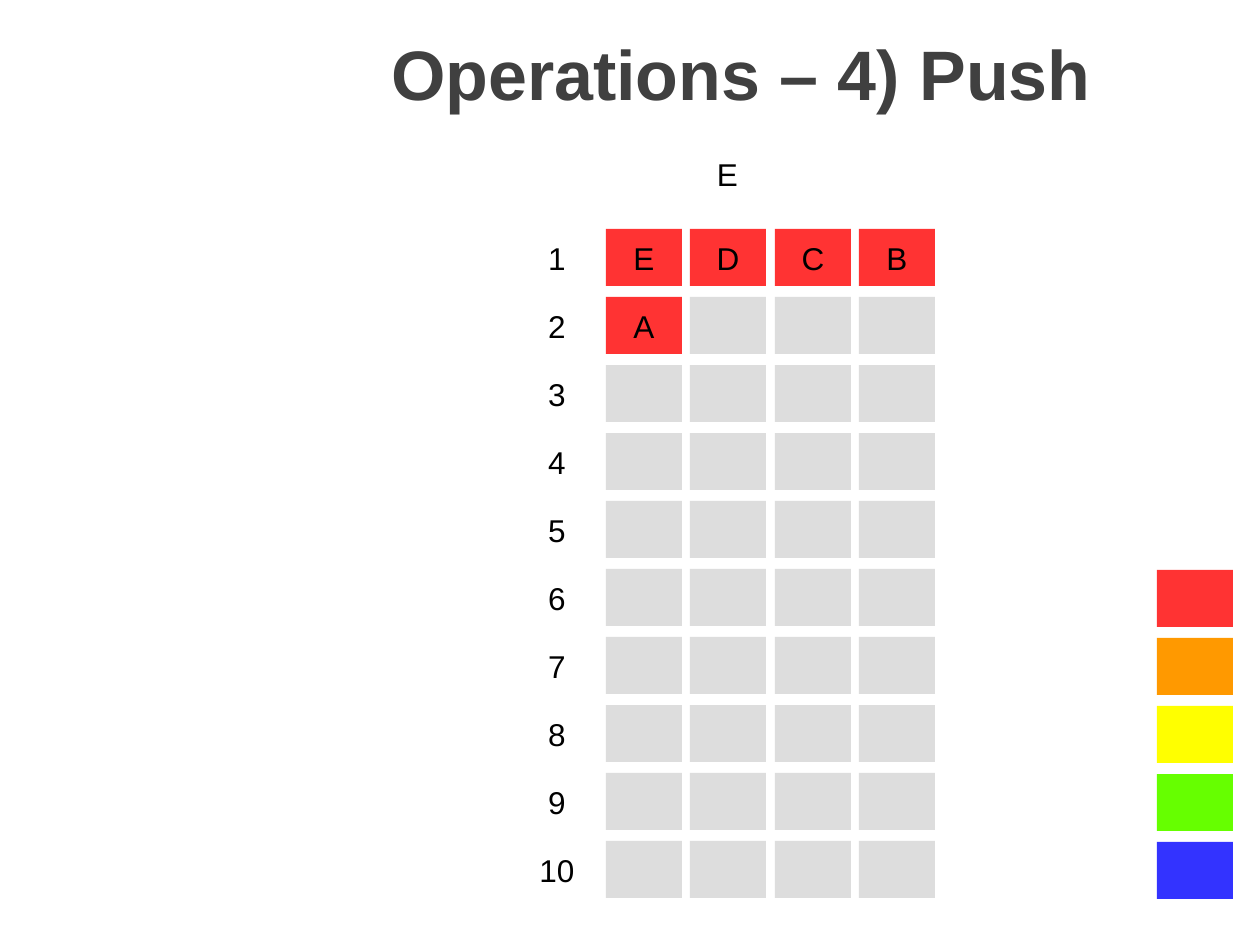
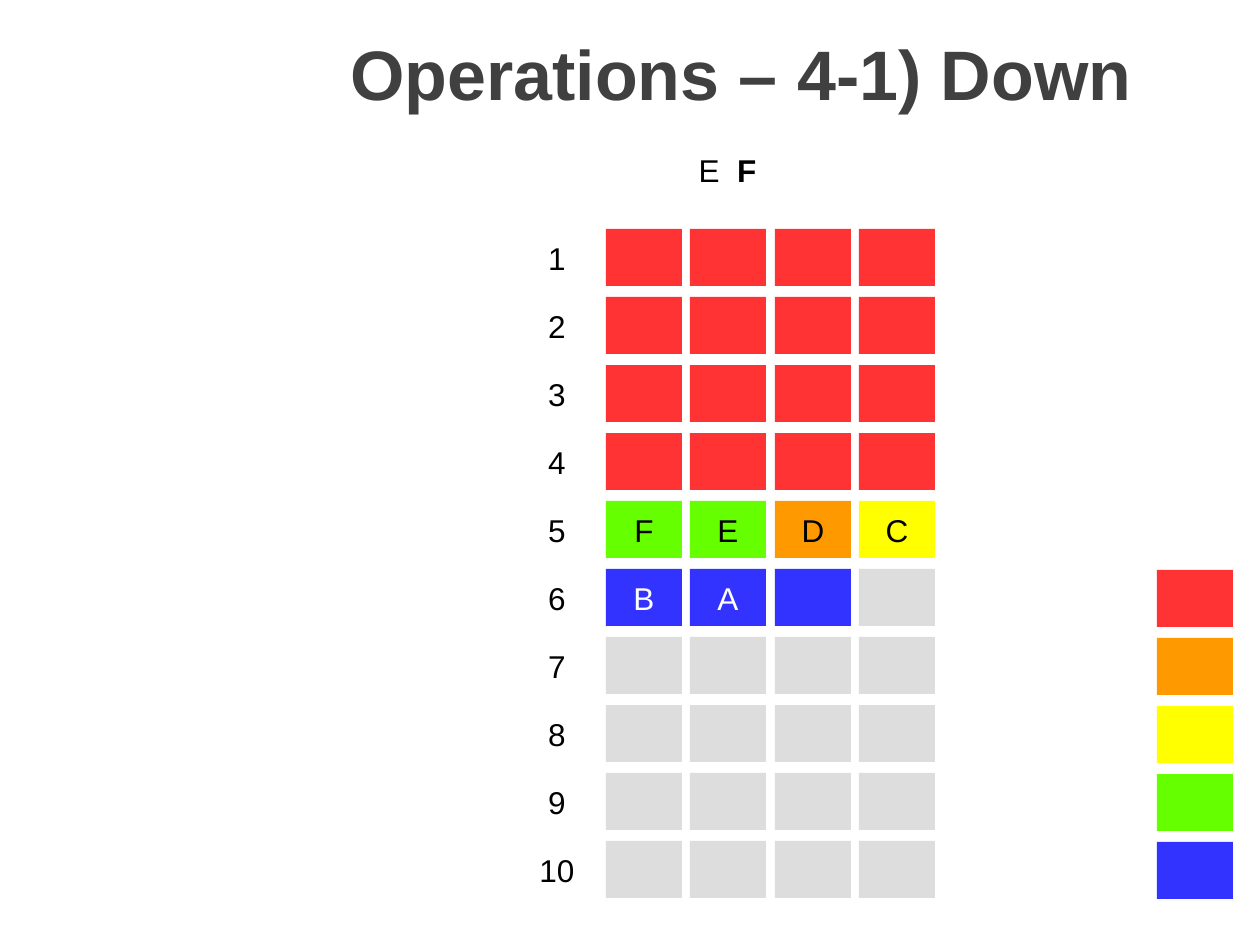
from pptx import Presentation
from pptx.dml.color import RGBColor
from pptx.enum.shapes import MSO_SHAPE
from pptx.enum.text import MSO_ANCHOR as Anchor, PP_ALIGN as Align
from pptx.util import Pt

PIXEL = 914400 // 126
FONT = "Arial"

WHITE = RGBColor(0xFF, 0xFF, 0xFF)
BLACK = RGBColor(0x00, 0x00, 0x00)
TITLE_GREY = RGBColor(0x40, 0x40, 0x40)
EMPTY_GREY = RGBColor(0xDD, 0xDD, 0xDD)
RED = RGBColor(0xFF, 0x33, 0x33)
ORANGE = RGBColor(0xFF, 0x99, 0x00)
YELLOW = RGBColor(0xFF, 0xFF, 0x00)
GREEN = RGBColor(0x66, 0xFF, 0x00)
BLUE = RGBColor(0x33, 0x33, 0xFF)

# Boxes: left, top, width, height in pixels
TITLE_BOX = (223, 0, 1036, 146)
HEADER_BOX = (444, 145, 567, 57)
NUMBER_BOX = (519, 229, 76, 669)
GRID_BOX = (606, 229, 329, 669)
KEY_BOX = (1157, 570, 76, 329)
CELL_WIDTH, CELL_HEIGHT = 76, 57
ROWS, COLUMNS = 10, 4
KEY_COLORS = [RED, ORANGE, YELLOW, GREEN, BLUE]


def emu(box):
    return [length * PIXEL for length in box]


def write_text(shape, runs, size=18, color=BLACK, bold=False, anchor=Anchor.MIDDLE):
    """Write centred text; runs is a string or a list of (text, bold)."""
    if isinstance(runs, str):
        runs = [(runs, bold)]
    frame = shape.text_frame
    frame.word_wrap = True
    frame.vertical_anchor = anchor
    paragraph = frame.paragraphs[0]
    paragraph.alignment = Align.CENTER
    for text, is_bold in runs:
        run = paragraph.add_run()
        run.text = text
        run.font.name = FONT
        run.font.size = Pt(size)
        run.font.bold = is_bold
        run.font.color.rgb = color


def add_block(slide, box, fill, runs="", **text_format):
    shape = slide.shapes.add_shape(MSO_SHAPE.RECTANGLE, *emu(box))
    shape.shadow.inherit = False
    shape.fill.solid()
    shape.fill.fore_color.rgb = fill
    shape.line.fill.background()
    if runs:
        write_text(shape, runs, **text_format)


def spread(start, length, size, count):
    """Starts of equally spaced parts that fill the length."""
    return [start + round(i * (length - size) / (count - 1)) for i in range(count)]


def add_title(slide, box, text):
    write_text(slide.shapes.add_textbox(*emu(box)), text,
               size=40, color=TITLE_GREY, bold=True)


def add_column(slide, box, blocks):
    """Stack (fill, text) blocks evenly from top to bottom."""
    left, top, width, height = box
    tops = spread(top, height, CELL_HEIGHT, len(blocks))
    for block_top, (fill, text) in zip(tops, blocks):
        add_block(slide, (left, block_top, width, CELL_HEIGHT), fill, text)


def add_grid(slide, box, filled):
    """Fill the grid row by row with (fill, letter); the rest stays empty."""
    left, top, width, height = box
    lefts = spread(left, width, CELL_WIDTH, COLUMNS)
    tops = spread(top, height, CELL_HEIGHT, ROWS)
    cells = filled + [(EMPTY_GREY, "")] * (ROWS * COLUMNS - len(filled))
    for index, (fill, letter) in enumerate(cells):
        row, column = divmod(index, COLUMNS)
        add_block(slide, (lefts[column], tops[row], CELL_WIDTH, CELL_HEIGHT),
                  fill, letter, color=WHITE if fill == BLUE else BLACK)


def add_operation_slide(presentation, title, header, filled, header_anchor=Anchor.MIDDLE):
    slide = presentation.slides.add_slide(presentation.slide_layouts[6])
    add_title(slide, TITLE_BOX, title)
    add_grid(slide, GRID_BOX, filled)
    # Row numbers
    add_column(slide, NUMBER_BOX, [(WHITE, str(row + 1)) for row in range(ROWS)])
    # Pushed elements above the grid
    add_block(slide, HEADER_BOX, WHITE, header, anchor=header_anchor)
    # Colour key
    add_column(slide, KEY_BOX, [(color, "") for color in KEY_COLORS])


presentation = Presentation()
presentation.slide_width, presentation.slide_height = emu((1260, 945))

add_operation_slide(presentation, "Operations – 4) Push", "E",
                    [(RED, letter) for letter in "EDCBA"])

# Four full red rows, then the moved elements
moved = [(GREEN, "F"), (GREEN, "E"), (ORANGE, "D"), (YELLOW, "C"),
         (BLUE, "B"), (BLUE, "A"), (BLUE, "")]
add_operation_slide(presentation, "Operations – 4-1) Down",
                    [("E  ", False), ("F", True)],
                    [(RED, "")] * (4 * COLUMNS) + moved,
                    header_anchor=Anchor.TOP)

presentation.save("out.pptx")
